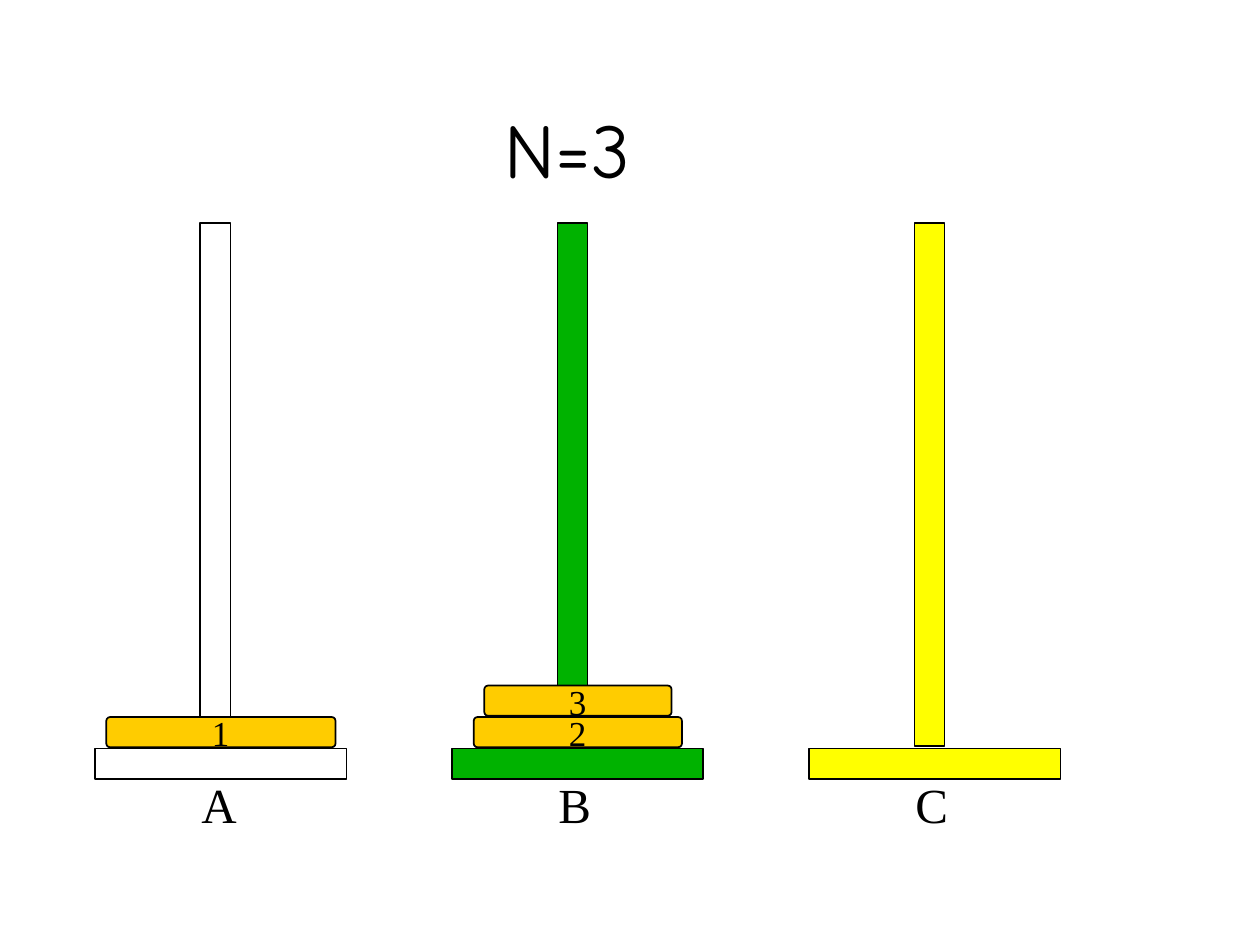
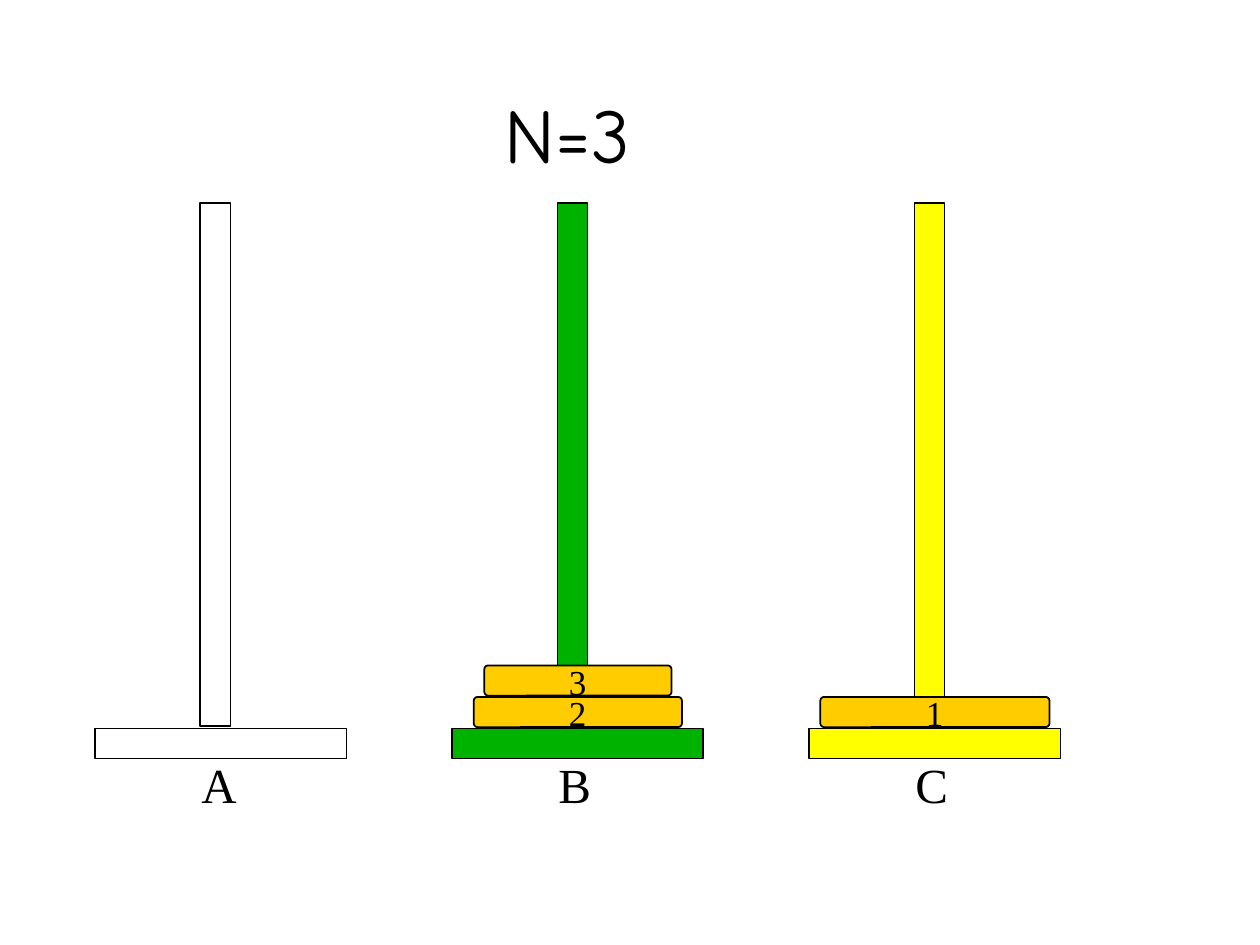
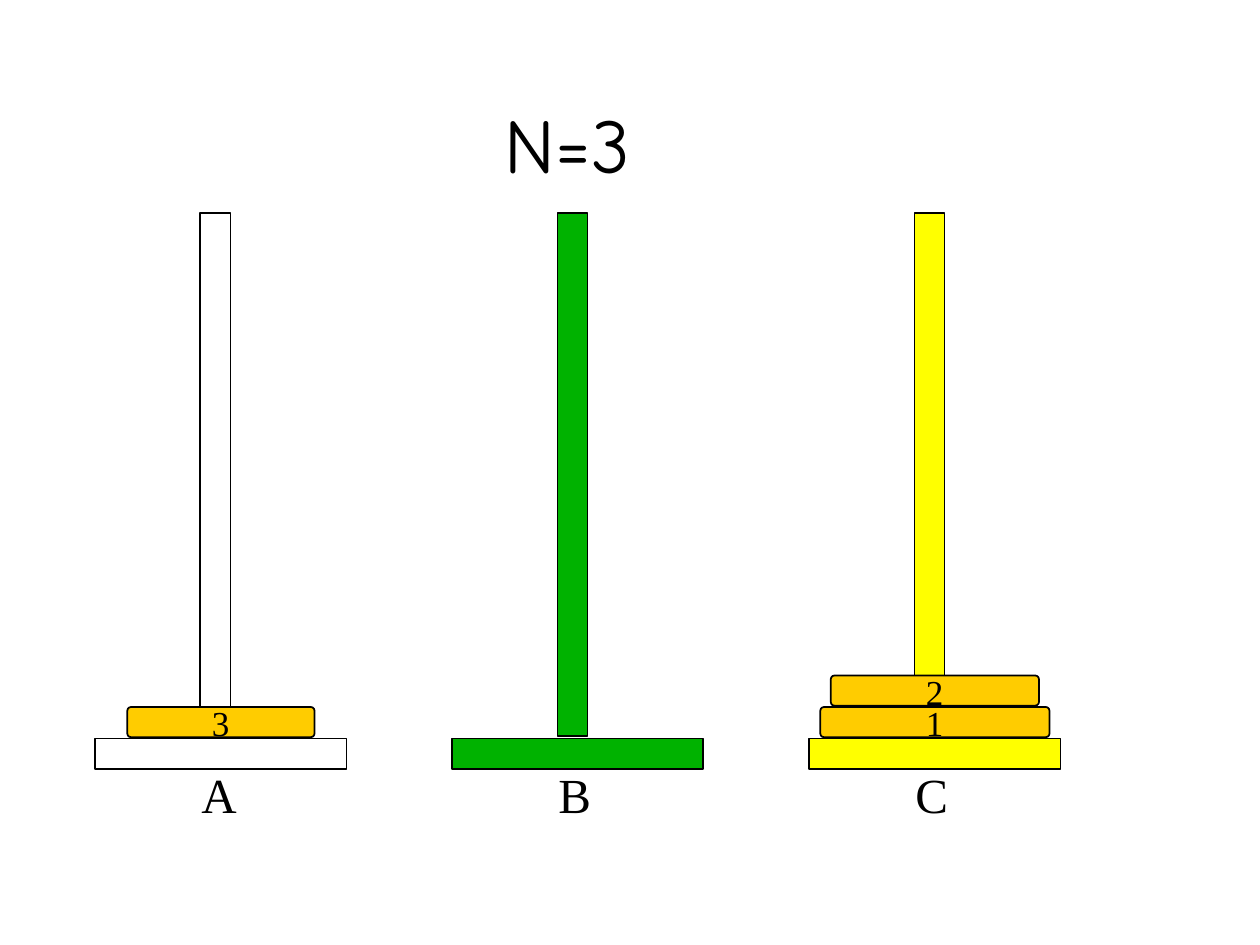
from pptx import Presentation
from pptx.dml.color import RGBColor
from pptx.enum.shapes import MSO_SHAPE
from pptx.enum.text import MSO_ANCHOR, PP_ALIGN
from pptx.util import Pt

RECTANGLE = MSO_SHAPE.RECTANGLE
ROUNDED = MSO_SHAPE.ROUNDED_RECTANGLE
TOP, BOTTOM = MSO_ANCHOR.TOP, MSO_ANCHOR.BOTTOM
LEFT, CENTER = PP_ALIGN.LEFT, PP_ALIGN.CENTER

# Shared look
BLACK = "000000"
DISK_COLOR = "FFCC00"
TITLE_FONT = "Comic Neue"
BODY_FONT = "Times New Roman"

# Tower geometry in points
TOWERS = [("A", "FFFFFF"), ("B", "00B200"), ("C", "FFFF00")]
FIRST_CENTER, TOWER_PITCH = 126.25, 204
BASE_WIDTH, THICKNESS = 143.5, 17.25
POLE_OFFSET, POLE_HEIGHT, POLE_RISE = -11.75, 298.75, 300.25
DISK_WIDTHS = {"1": 131, "2": 119, "3": 107}
DISK_PITCH = 18

# Base top, title height, and the disks on each tower from the bottom up
STATES = [
    (427.75, 102.25, {"A": "1", "B": "23"}),
    (416.25, 93.5, {"B": "23", "C": "1"}),
    (422, 99.25, {"A": "3", "C": "12"}),
]


def add_block(page, kind, left, top, width, height, color):
    block = page.shapes.add_shape(kind, Pt(left), Pt(top), Pt(width), Pt(height))
    block.shadow.inherit = False
    block.fill.solid()
    block.fill.fore_color.rgb = RGBColor.from_string(color)
    block.line.color.rgb = RGBColor.from_string(BLACK)
    block.line.width = Pt(1)
    return block


def add_text(page, text, left, top, width, height, size,
             font=BODY_FONT, align=LEFT, anchor=TOP):
    box = page.shapes.add_textbox(Pt(left), Pt(top), Pt(width), Pt(height))
    box.text_frame.word_wrap = True
    box.text_frame.vertical_anchor = anchor
    para = box.text_frame.paragraphs[0]
    para.alignment = align
    span = para.add_run()
    span.text = text
    span.font.name = font
    span.font.size = Pt(size)
    span.font.color.rgb = RGBColor.from_string(BLACK)


deck = Presentation()
deck.slide_width, deck.slide_height = Pt(720), Pt(540)

for base_top, title_height, stacks in STATES:
    page = deck.slides.add_slide(deck.slide_layouts[6])
    add_text(page, "N=3", 54, 12.25, 540.75, title_height, 44,
             TITLE_FONT, CENTER, BOTTOM)

    for index, (name, color) in enumerate(TOWERS):
        center = FIRST_CENTER + index * TOWER_PITCH

        # Base, pole and tower name
        add_block(page, RECTANGLE, center - BASE_WIDTH / 2, base_top,
                  BASE_WIDTH, THICKNESS, color)
        add_block(page, RECTANGLE, center + POLE_OFFSET, base_top - POLE_RISE,
                  THICKNESS, POLE_HEIGHT, color)
        add_text(page, name, center - 18.25, base_top + 11.5, 72, 41, 28)

        # Numbered disks
        for level, number in enumerate(stacks.get(name, ""), start=1):
            disk_top = base_top - level * DISK_PITCH
            width = DISK_WIDTHS[number]
            disk = add_block(page, ROUNDED, center - width / 2, disk_top,
                             width, THICKNESS, DISK_COLOR)
            disk.adjustments[0] = 0.125
            add_text(page, number, center - 12.25, disk_top - 6.5, 54, 31, 20)

deck.save("out.pptx")
